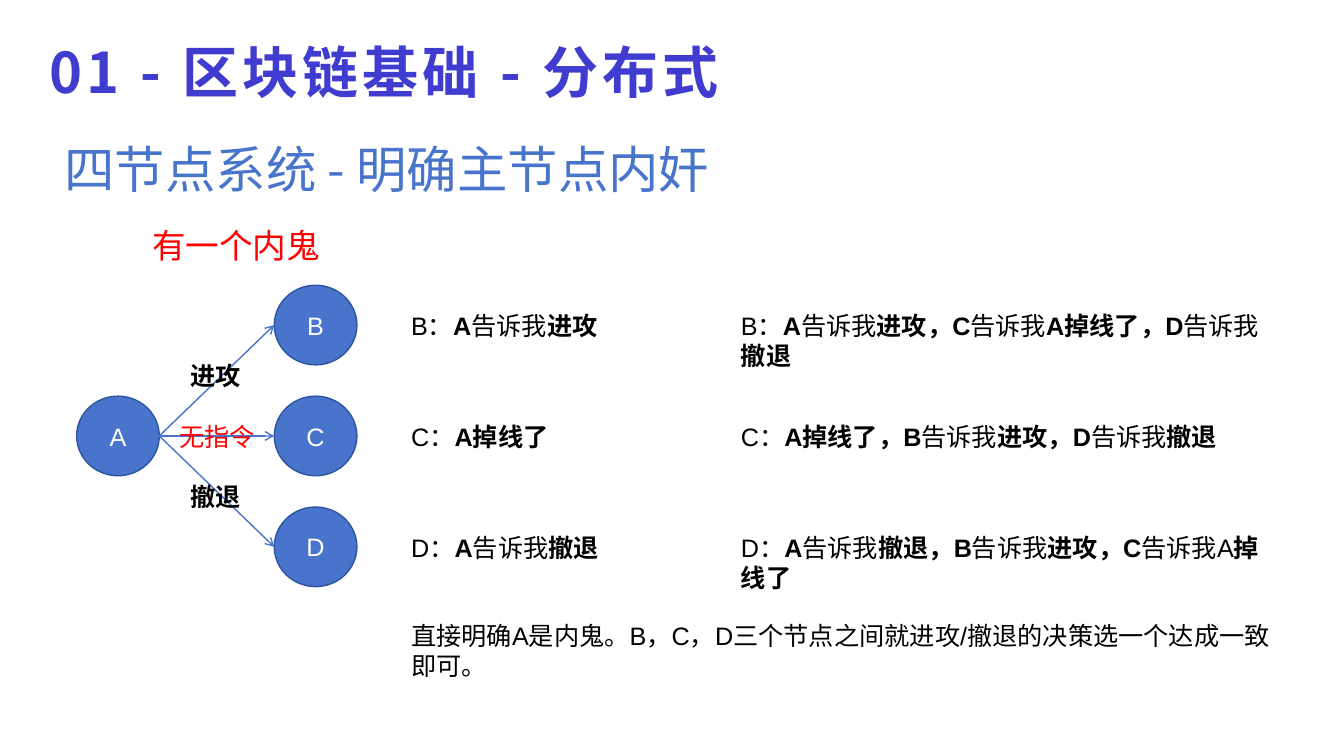
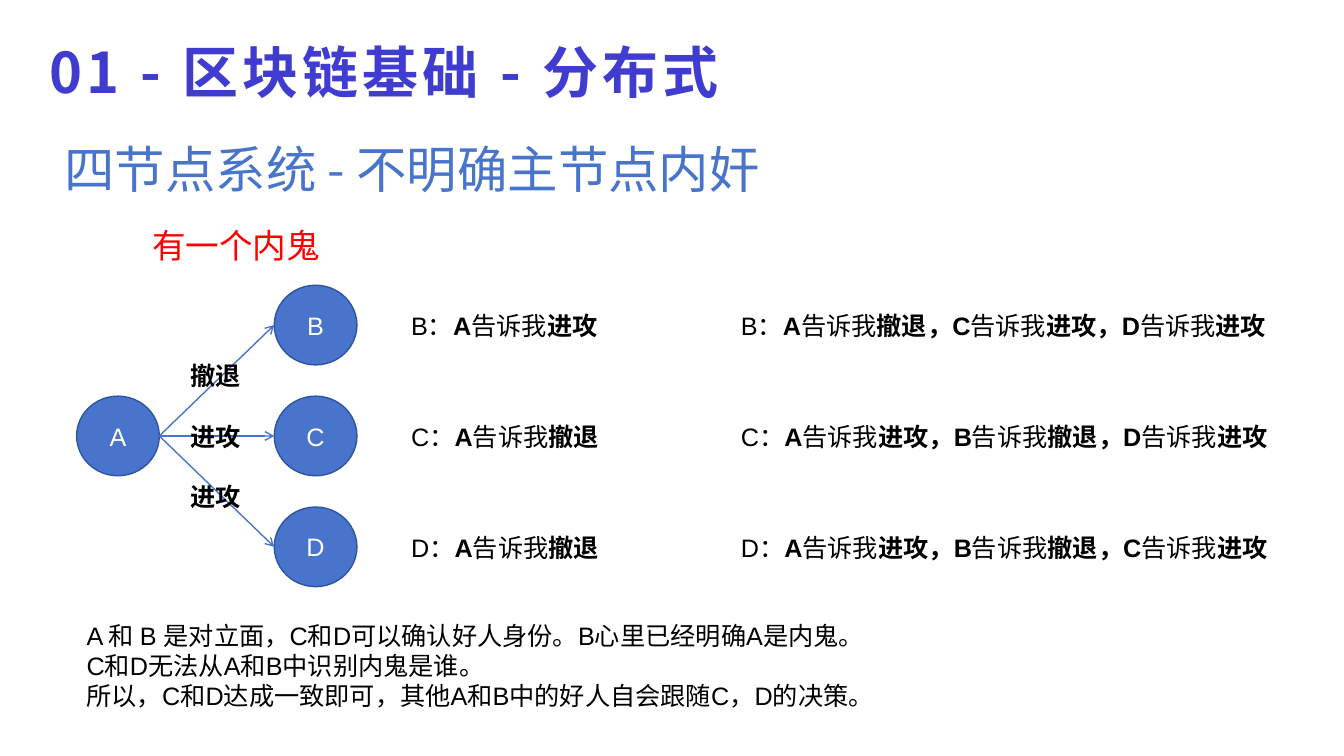
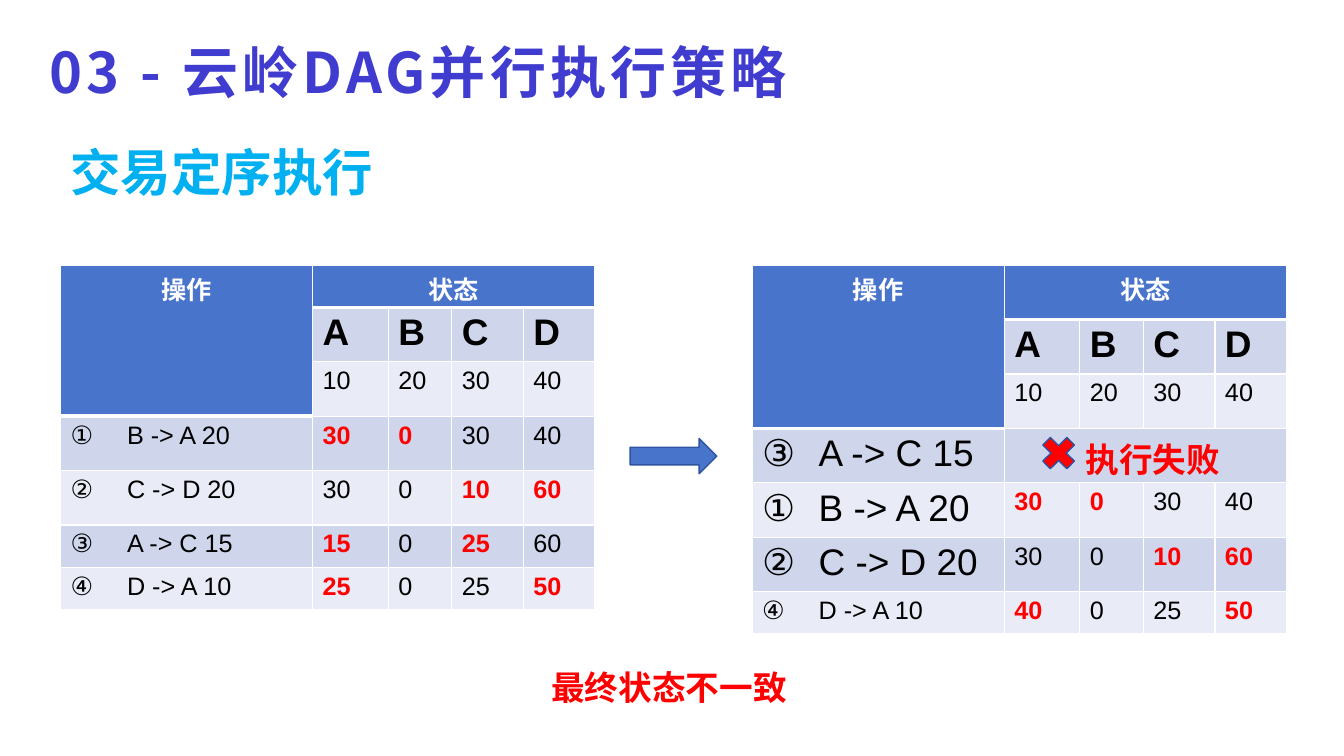
from lxml import etree
from pptx import Presentation
from pptx.dml.color import RGBColor
from pptx.enum.shapes import MSO_CONNECTOR, MSO_SHAPE
from pptx.enum.text import MSO_ANCHOR, PP_ALIGN
from pptx.oxml.ns import qn
from pptx.util import Inches, Pt

LEFT, CENTER = PP_ALIGN.LEFT, PP_ALIGN.CENTER
TOP, MIDDLE = MSO_ANCHOR.TOP, MSO_ANCHOR.MIDDLE
OVAL, RIGHT_ARROW, CROSS = MSO_SHAPE.OVAL, MSO_SHAPE.RIGHT_ARROW, MSO_SHAPE.MATH_MULTIPLY
STRAIGHT = MSO_CONNECTOR.STRAIGHT

TITLE_BLUE = RGBColor(0x40, 0x3C, 0xCF)
BLUE = RGBColor(0x48, 0x74, 0xCB)
DARK_BLUE = RGBColor(0x2E, 0x54, 0xA1)
SKY = RGBColor(0x00, 0xB0, 0xF0)
RED = RGBColor(0xFF, 0x00, 0x00)
BLACK = RGBColor(0x00, 0x00, 0x00)
WHITE = RGBColor(0xFF, 0xFF, 0xFF)
BAND_DARK = RGBColor(0xCF, 0xD6, 0xEC)
BAND_LIGHT = RGBColor(0xE9, 0xEB, 0xF6)

BODY_FONT = "Arial"
SC_FONT = "Noto Sans CJK SC"
JP_FONT = "Noto Sans CJK JP"

NODE_W, NODE_H = 0.82, 0.79
LEADER_X, FOLLOWER_X, FIRST_NODE_Y = 0.76, 2.72, 2.83
ROW_STEP = 1.1
HEARD_X, SHARED_X, FIRST_TEXT_Y = 3.98, 7.25, 3.03
ORDER_X, FIRST_ORDER_Y, ORDER_STEP = 1.79, 3.53, 0.6

COLUMN_WIDTHS = [2.5, 0.75, 0.63, 0.71, 0.71]
LOWER_ROW_HEIGHTS = [0.42, 0.54, 0.54, 0.54, 0.42, 0.42]
LARGE = 26.4
LIST_INDENT = 0.56


def write(paragraph, marked, size, color=BLACK, font=BODY_FONT, accent=None,
          align=LEFT, spacing=None):
    """Fill a paragraph; parts between asterisks are bold, in the accent colour if given."""
    paragraph.alignment = align
    for index, part in enumerate(marked.split("*")):
        if not part:
            continue
        strong = index % 2 == 1
        run = paragraph.add_run()
        run.text = part
        run.font.size = Pt(size)
        run.font.bold = strong
        run.font.name = font
        run.font.color.rgb = accent if strong and accent else color
        properties = run.font._element
        east_asian = etree.SubElement(properties, qn("a:ea"))
        east_asian.set("typeface", SC_FONT if font == BODY_FONT else font)
        if spacing:
            properties.set("spc", str(spacing))


def add_text(slide, box, *lines, size=18, anchor=TOP, **style):
    frame = slide.shapes.add_textbox(*map(Inches, box)).text_frame
    frame.word_wrap = True
    frame.vertical_anchor = anchor
    for index, line in enumerate(lines):
        paragraph = frame.add_paragraph() if index else frame.paragraphs[0]
        write(paragraph, line, size, **style)


def add_title(slide, title):
    add_text(slide, (0.39, 0.4, 8.62, 0.61), f"*{title}*", size=40, anchor=MIDDLE,
             color=TITLE_BLUE, font=SC_FONT, spacing=300)


def add_outlined(slide, preset, box, fill=BLUE):
    shape = slide.shapes.add_shape(preset, *map(Inches, box))
    shape.shadow.inherit = False
    shape.fill.solid()
    shape.fill.fore_color.rgb = fill
    shape.line.color.rgb = DARK_BLUE
    shape.line.width = Pt(1)
    return shape


def add_node(slide, name, x, y):
    node = add_outlined(slide, OVAL, (x, y, NODE_W, NODE_H))
    node.text_frame.vertical_anchor = MIDDLE
    write(node.text_frame.paragraphs[0], name, 18, color=WHITE, align=CENTER)


def add_arrow(slide, start, end):
    arrow = slide.shapes.add_connector(STRAIGHT, *map(Inches, start + end))
    arrow.line.color.rgb = BLUE
    arrow.line.width = Pt(1)
    head = etree.SubElement(arrow.line._get_or_add_ln(), qn("a:tailEnd"))
    head.set("type", "arrow")
    etree.SubElement(arrow._element.spPr, qn("a:effectLst"))


def add_node_graph(slide):
    leader_y = FIRST_NODE_Y + ROW_STEP
    follower_ys = [FIRST_NODE_Y + row * ROW_STEP for row in range(3)]
    add_node(slide, "A", LEADER_X, leader_y)
    for name, y in zip("BCD", follower_ys):
        add_node(slide, name, FOLLOWER_X, y)
    for y in follower_ys:
        add_arrow(slide, (LEADER_X + NODE_W, leader_y + NODE_H / 2),
                  (FOLLOWER_X, y + NODE_H / 2))


def add_traitor_slide(prs, subtitle, orders, heard, shared):
    """Leader A sends orders to B, C and D; each tells what it heard, then what was shared."""
    slide = prs.slides.add_slide(prs.slide_layouts[6])
    add_title(slide, "01 - 区块链基础 - 分布式")
    add_text(slide, (0.54, 1.32, 9.52, 0.72), subtitle, size=36, color=BLUE, font=JP_FONT)
    add_node_graph(slide)
    for row, order in enumerate(orders):
        y = FIRST_ORDER_Y + row * ORDER_STEP
        if order == "无指令":
            add_text(slide, (1.68, y, 1.24, 0.4), order, color=RED)
        else:
            add_text(slide, (ORDER_X, y, 0.72, 0.4), f"*{order}*")
    for row, (name, first, second) in enumerate(zip("BCD", heard, shared)):
        y = FIRST_TEXT_Y + row * ROW_STEP
        add_text(slide, (HEARD_X, y, 4.44, 0.4), f"{name}：{first}")
        add_text(slide, (SHARED_X, y, 5.46, 0.71), f"{name}：{second}")
    add_text(slide, (1.41, 2.18, 2.12, 0.5), "有一个内鬼", size=24, color=RED)
    return slide


def style_cell(cell, row, column):
    """White borders, thick under the header, and the fill of the row's band."""
    header_end = 2 if column == 0 else 0
    widths = {"L": 1, "R": 1,
              "T": 3 if row == header_end + 1 else 1,
              "B": 3 if row <= header_end else 1}
    properties = cell._tc.get_or_add_tcPr()
    for side, width in widths.items():
        border = etree.SubElement(properties, qn(f"a:ln{side}"), w=str(Pt(width)))
        fill = etree.SubElement(border, qn("a:solidFill"))
        etree.SubElement(fill, qn("a:srgbClr"), val=str(WHITE))
    cell.fill.solid()
    band = BAND_DARK if row % 2 else BAND_LIGHT
    cell.fill.fore_color.rgb = BLUE if row <= header_end else band


def number_paragraph(paragraph, number):
    properties = paragraph._p.get_or_add_pPr()
    properties.set("marL", str(Inches(LIST_INDENT)))
    properties.set("indent", str(Inches(-LIST_INDENT)))
    bullet = etree.SubElement(properties, qn("a:buAutoNum"), type="circleNumDbPlain")
    bullet.set("startAt", str(number))


def add_state_table(slide, x, header_height, operations):
    """Operations are (number, text, size, balances); one lone balance fills the row."""
    heights = [header_height] + LOWER_ROW_HEIGHTS
    table = slide.shapes.add_table(len(heights), len(COLUMN_WIDTHS), Inches(x), Inches(2.63),
                                   Inches(sum(COLUMN_WIDTHS)), Inches(sum(heights))).table
    table.first_row = table.horz_banding = False
    for column, width in zip(table.columns, COLUMN_WIDTHS):
        column.width = Inches(width)
    for row, height in enumerate(heights):
        table.rows[row].height = Inches(height)
        for column in range(len(COLUMN_WIDTHS)):
            style_cell(table.cell(row, column), row, column)

    def fill_cell(row, column, marked, size=18, **style):
        write(table.cell(row, column).text_frame.paragraphs[0], marked, size, **style)

    table.cell(0, 0).merge(table.cell(2, 0))
    table.cell(0, 1).merge(table.cell(0, 4))
    for column, heading in enumerate(["操作", "状态"]):
        fill_cell(0, column, f"*{heading}*", color=WHITE, align=CENTER)
    for column, (account, opening) in enumerate(zip("ABCD", ["10", "20", "30", "40"]), 1):
        fill_cell(1, column, f"*{account}*", LARGE)
        fill_cell(2, column, opening)
    for row, (number, operation, size, balances) in enumerate(operations, 3):
        number_paragraph(table.cell(row, 0).text_frame.paragraphs[0], number)
        fill_cell(row, 0, operation, size)
        if len(balances) == 1:
            failure = table.cell(row, 1)
            failure.merge(table.cell(row, 4))
            failure.margin_left = Inches(0.25)
            fill_cell(row, 1, balances[0], 24, accent=RED, align=CENTER)
            continue
        for column, balance in enumerate(balances, 1):
            fill_cell(row, column, balance, accent=RED)


def add_ordering_slide(prs):
    slide = prs.slides.add_slide(prs.slide_layouts[6])
    add_title(slide, "03 - 云岭DAG并行执行策略")
    add_text(slide, (0.6, 1.35, 7.87, 0.71), "*交易定序执行*", size=36, color=SKY, font=JP_FONT)
    add_state_table(slide, 0.6, 0.42, [
        (1, "B -> A 20", 18, ["*30*", "*0*", "30", "40"]),
        (2, "C -> D 20", 18, ["30", "0", "*10*", "*60*"]),
        (3, "A -> C 15", 18, ["*15*", "0", "*25*", "60"]),
        (4, "D -> A 10", 18, ["*25*", "0", "25", "*50*"]),
    ])
    add_state_table(slide, 7.46, 0.54, [
        (3, "A -> C 15", LARGE, ["*执行失败*"]),
        (1, "B -> A 20", LARGE, ["*30*", "*0*", "30", "40"]),
        (2, "C -> D 20", LARGE, ["30", "0", "*10*", "*60*"]),
        (4, "D -> A 10", 18, ["*40*", "0", "25", "*50*"]),
    ])
    add_outlined(slide, RIGHT_ARROW, (6.25, 4.35, 0.86, 0.35))
    add_outlined(slide, CROSS, (10.27, 4.27, 0.46, 0.45), RED)
    add_text(slide, (5.37, 6.57, 2.61, 0.5), "*最终状态不一致*", size=24, color=RED, font=SC_FONT)


def main():
    prs = Presentation()
    prs.slide_width, prs.slide_height = Inches(13.33), Inches(7.5)

    known_traitor = add_traitor_slide(
        prs, "四节点系统 - 明确主节点内奸",
        orders=["进攻", "无指令", "撤退"],
        heard=["*A*告诉我*进攻*", "*A掉线了*", "*A*告诉我*撤退*"],
        shared=["*A*告诉我*进攻，C*告诉我*A掉线了，D*告诉我*撤退*",
                "*A掉线了，B*告诉我*进攻，D*告诉我*撤退*",
                "*A*告诉我*撤退，B*告诉我*进攻，C*告诉我A*掉线了*"])
    add_text(known_traitor, (3.98, 6.1, 8.72, 1.28),
             "直接明确A是内鬼。B，C，D三个节点之间就进攻/撤退的决策选一个达成一致即可。")

    unknown_traitor = add_traitor_slide(
        prs, "四节点系统 - 不明确主节点内奸",
        orders=["撤退", "进攻", "进攻"],
        heard=["*A*告诉我*进攻*", "*A*告诉我*撤退*", "*A*告诉我*撤退*"],
        shared=["*A*告诉我*撤退，C*告诉我*进攻，D*告诉我*进攻*",
                "*A*告诉我*进攻，B*告诉我*撤退，D*告诉我*进攻*",
                "*A*告诉我*进攻，B*告诉我*撤退，C*告诉我*进攻*"])
    add_text(unknown_traitor, (0.76, 6.1, 11.95, 1.28),
             "A 和 B 是对立面，C和D可以确认好人身份。B心里已经明确A是内鬼。",
             "C和D无法从A和B中识别内鬼是谁。",
             "所以，C和D达成一致即可，其他A和B中的好人自会跟随C，D的决策。")

    add_ordering_slide(prs)
    prs.save("out.pptx")


if __name__ == "__main__":
    main()
